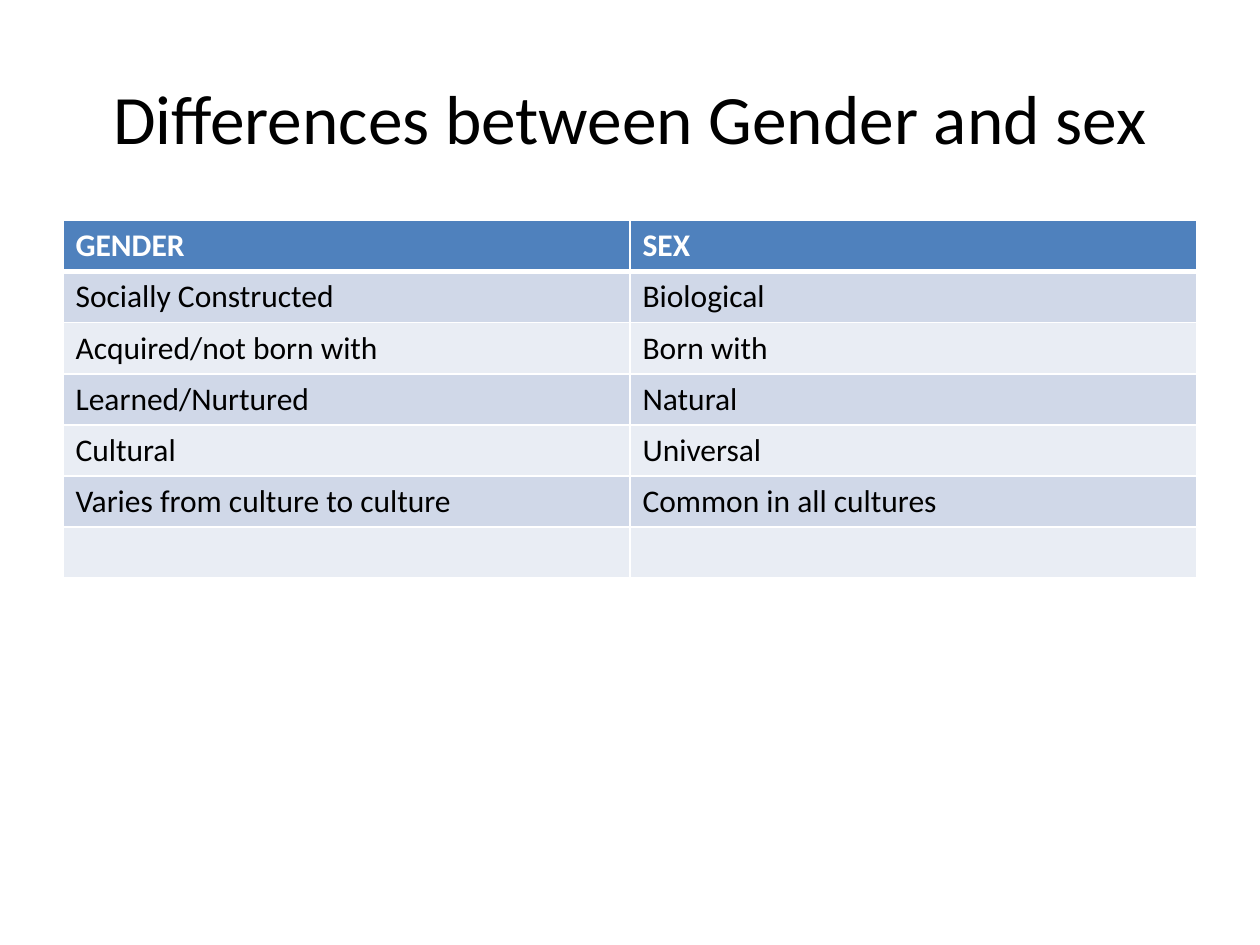
import pptx
import pptx.util
import pptx.dml.color
import pptx.enum.text
import pptx.oxml
import pptx.oxml.ns
from pptx.util import Inches

TITLE = "Differences between Gender and sex"
COMPARISON = [
    ("GENDER", "SEX"),
    ("Socially Constructed", "Biological"),
    ("Acquired/not born with", "Born with"),
    ("Learned/Nurtured", "Natural"),
    ("Cultural", "Universal"),
    ("Varies from culture to culture", "Common in all cultures"),
    ("", ""),
]
THEME = {
    "font": "Calibri",
    "title_size": 39.6,
    "body_size": 18,
    "text": "000000",
    "header_text": "FFFFFF",
    "header_fill": "4F81BD",
    "bands": ("D0D8E8", "E9EDF4"),
    "border": "FFFFFF",
    "thin": 1,
    "thick": 3,
}
LEFT, WIDTH = 0.5, 9
TITLE_TOP, TITLE_HEIGHT = 0.3, 1.25
TABLE_TOP, TABLE_HEIGHT = 1.75, 2.84


def rgb(value):
    return pptx.dml.color.RGBColor.from_string(value)


def style_font(font, size, color, bold=False):
    font.name = THEME["font"]
    font.size = pptx.util.Pt(size)
    font.color.rgb = rgb(color)
    font.bold = bold


def add_borders(cell, top, bottom):
    properties = cell._tc.get_or_add_tcPr()
    widths = (("lnL", THEME["thin"]), ("lnR", THEME["thin"]), ("lnT", top), ("lnB", bottom))
    for position, (side, width) in enumerate(widths):
        line = pptx.oxml.parse_xml(
            f'<a:{side} {pptx.oxml.ns.nsdecls("a")} w="{pptx.util.Pt(width)}">'
            f'<a:solidFill><a:srgbClr val="{THEME["border"]}"/></a:solidFill></a:{side}>'
        )
        properties.insert(position, line)


def add_title(slide):
    heading = slide.shapes.add_textbox(
        Inches(LEFT), Inches(TITLE_TOP), Inches(WIDTH), Inches(TITLE_HEIGHT)
    ).text_frame
    heading.word_wrap = True
    heading.vertical_anchor = pptx.enum.text.MSO_ANCHOR.MIDDLE
    heading.text = TITLE
    heading.paragraphs[0].alignment = pptx.enum.text.PP_ALIGN.CENTER
    style_font(heading.paragraphs[0].runs[0].font, THEME["title_size"], THEME["text"])


def add_comparison(slide):
    comparison = slide.shapes.add_table(
        len(COMPARISON), len(COMPARISON[0]),
        Inches(LEFT), Inches(TABLE_TOP), Inches(WIDTH), Inches(TABLE_HEIGHT),
    ).table
    for row, entries in enumerate(COMPARISON):
        header = row == 0
        fill = THEME["header_fill"] if header else THEME["bands"][(row - 1) % 2]
        color = THEME["header_text"] if header else THEME["text"]
        top = THEME["thick"] if row == 1 else THEME["thin"]
        bottom = THEME["thick"] if header else THEME["thin"]
        for column, entry in enumerate(entries):
            cell = comparison.cell(row, column)
            cell.fill.solid()
            cell.fill.fore_color.rgb = rgb(fill)
            add_borders(cell, top, bottom)
            paragraph = cell.text_frame.paragraphs[0]
            if entry:
                paragraph.text = entry
            for part in paragraph.runs or [paragraph]:
                style_font(part.font, THEME["body_size"], color, header)


def main():
    deck = pptx.Presentation()
    deck.slide_width, deck.slide_height = Inches(10), Inches(7.5)
    slide = deck.slides.add_slide(deck.slide_layouts[6])
    add_title(slide)
    add_comparison(slide)
    deck.save("out.pptx")


if __name__ == "__main__":
    main()
